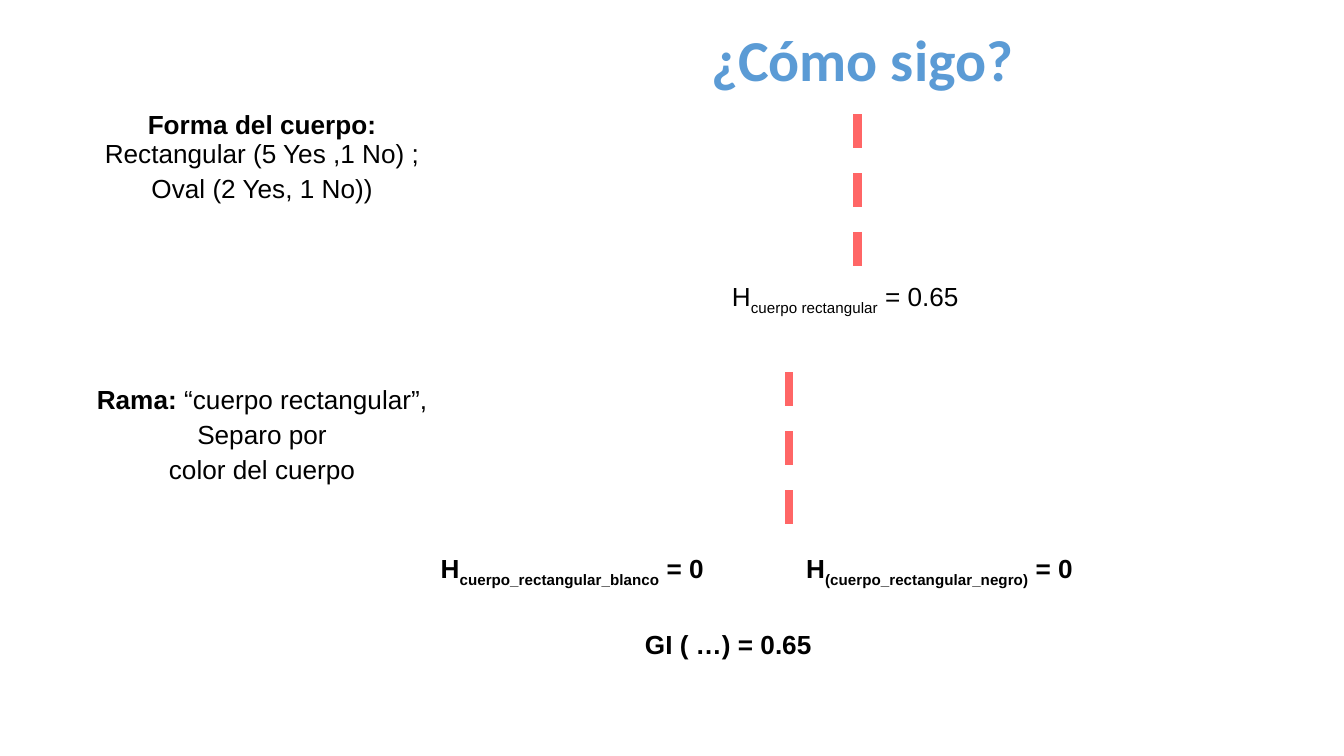
"""Builds a slide on the next step of a decision tree split by entropy."""
from typing import NamedTuple

import pptx
import pptx.dml.color
import pptx.enum.dml
import pptx.enum.shapes
import pptx.enum.text
import pptx.oxml.ns
import pptx.util
from lxml import etree

WIDTH = pptx.util.Inches(10)
HEIGHT = WIDTH * 9 // 16
COLORS = {"title": "5B9BD5", "text": "000000", "branch": "FF6666"}
ALIGN = pptx.enum.text.PP_ALIGN
ANCHOR = pptx.enum.text.MSO_ANCHOR


class Run(NamedTuple):
    text: str
    bold: bool = False
    sub: bool = False


class Para(NamedTuple):
    runs: list[Run]
    before: float = 0


class Box(NamedTuple):
    x: float
    y: float
    w: float
    h: float


class Branch(NamedTuple):
    x: float
    top: float
    bottom: float


def across(share: float) -> int:
    return round(WIDTH * share / 100)


def down(share: float) -> int:
    return round(HEIGHT * share / 100)


def add_text(s, box: Box, paras: list[Para], *, size=14, font="Arial", color="text",
             align=ALIGN.CENTER, anchor=ANCHOR.TOP, spacing=1.0) -> None:
    sp = s.shapes.add_textbox(across(box.x), down(box.y), across(box.w), down(box.h))
    tf = sp.text_frame
    tf.word_wrap = True
    tf.vertical_anchor = anchor
    for i, para in enumerate(paras):
        p = tf.add_paragraph() if i else tf.paragraphs[0]
        p.alignment, p.line_spacing = align, spacing
        p.space_before = pptx.util.Pt(para.before)
        for run in para.runs:
            if run.text == "\n":
                p.add_line_break()
                continue
            r = p.add_run()
            r.text = run.text
            r.font.name, r.font.size, r.font.bold = font, pptx.util.Pt(size), run.bold
            r.font.color.rgb = pptx.dml.color.RGBColor.from_string(COLORS[color])
            if run.sub:
                r.font._element.set("baseline", "-25000")


def add_branch(s, branch: Branch) -> None:
    x = across(branch.x)
    sp = s.shapes.add_connector(pptx.enum.shapes.MSO_CONNECTOR.STRAIGHT,
                                x, down(branch.top), x, down(branch.bottom))
    sp.line.color.rgb = pptx.dml.color.RGBColor.from_string(COLORS["branch"])
    sp.line.width = pptx.util.Pt(4.5)
    sp.line.dash_style = pptx.enum.dml.MSO_LINE.DASH
    etree.SubElement(sp._element.spPr, pptx.oxml.ns.qn("a:effectLst"))


def entropy(name: str, value: str, bold: bool) -> list[Para]:
    return [Para([Run("H", bold), Run(name, bold, True), Run(f" = {value}", bold)])]


def main() -> None:
    prs = pptx.Presentation()
    prs.slide_width, prs.slide_height = WIDTH, HEIGHT
    s = prs.slides.add_slide(prs.slide_layouts[6])

    add_text(s, Box(32.5, 3.56, 63.3, 9.6), [Para([Run("¿Cómo sigo?", True)])],
             size=31, font="Calibri", color="title", anchor=ANCHOR.MIDDLE, spacing=0.9)
    add_text(s, Box(4.4, 13.96, 30.2, 88), [
        Para([Run("Forma del cuerpo:", True), Run("\n"), Run("Rectangular (5 Yes ,1 No) ;")]),
        Para([Run("Oval (2 Yes, 1 No))")], 3.7),
        Para([Run("Rama: ", True), Run("“cuerpo rectangular”,")], 98),
        Para([Run("Separo por")], 3.7),
        Para([Run("color del cuerpo")], 3.7),
    ], spacing=0.9)

    for branch in (Branch(63.8, 15.11, 36.27), Branch(58.7, 49.24, 70.22)):
        add_branch(s, branch)

    add_text(s, Box(46.1, 36.27, 33.6, 6.76), entropy("cuerpo rectangular", "0.65", False))
    for x, name in ((31.8, "cuerpo_rectangular_blanco"), (59, "(cuerpo_rectangular_negro)")):
        add_text(s, Box(x, 72.2, 38.1, 11.73), entropy(name, "0", True), align=ALIGN.LEFT)
    add_text(s, Box(47, 82.22, 16.9, 6.76), [Para([Run("GI ( …) = 0.65", True)])],
             align=ALIGN.LEFT)

    prs.save("out.pptx")


if __name__ == "__main__":
    main()
